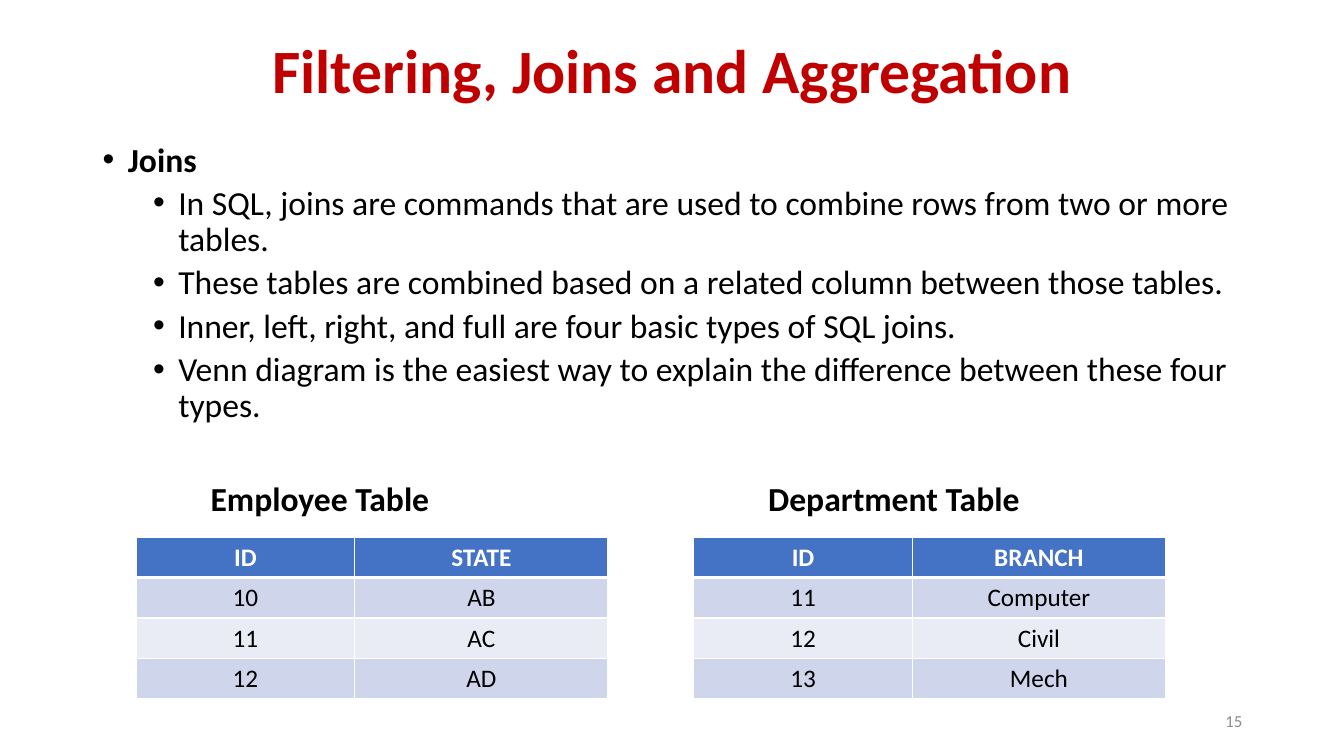
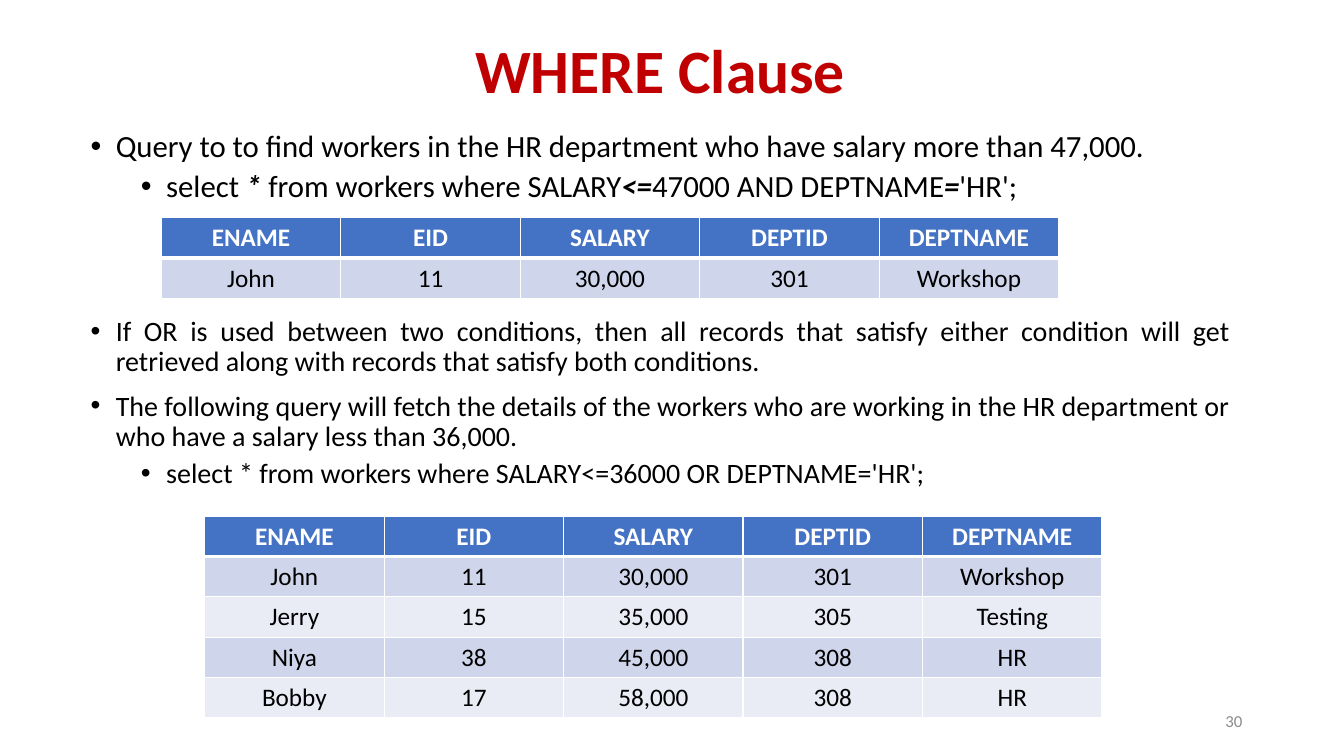
from lxml import etree
from pptx import Presentation
from pptx.dml.color import RGBColor
from pptx.enum.text import MSO_ANCHOR, PP_ALIGN
from pptx.oxml.ns import qn
from pptx.util import Inches, Pt

LEFT, MID, RIGHT, FULL = (PP_ALIGN.LEFT, PP_ALIGN.CENTER,
                          PP_ALIGN.RIGHT, PP_ALIGN.JUSTIFY)
TOP, HALF = MSO_ANCHOR.TOP, MSO_ANCHOR.MIDDLE

# Shared look
FONT = "Calibri"
RED, BLACK, WHITE, GREY = "C00000", "000000", "FFFFFF", "8C8C8C"
HEAD, BANDS = "4472C4", ("CFD5EA", "E9EBF5")
WIDE, ROW = 11.5, 0.4


def paint(code):
    return RGBColor.from_string(code)


def add_run(para, text, size, color=BLACK, style=""):
    """Style holds b for bold and i for italic."""
    run = para.add_run()
    run.text = text
    font = run.font
    font.name, font.size = FONT, Pt(size)
    font.color.rgb = paint(color)
    font.bold, font.italic = "b" in style, "i" in style


def add_box(slide, left, top, width, height, anchor=TOP):
    box = slide.shapes.add_textbox(Inches(left), Inches(top),
                                   Inches(width), Inches(height))
    frame = box.text_frame
    frame.word_wrap = True
    frame.vertical_anchor = anchor
    return frame


def add_label(slide, place, text, size, color=BLACK, style="b",
              align=LEFT, anchor=TOP):
    para = add_box(slide, *place, anchor).paragraphs[0]
    para.alignment = align
    add_run(para, text, size, color, style)
    return para


# Bulleted text: each item is (level, runs), each run is (text, style)
def set_bullet(para, level):
    props = para._p.get_or_add_pPr()
    props.set("marL", str(Inches(0.25 + 0.5 * level)))
    props.set("indent", str(Inches(-0.25)))
    etree.SubElement(props, qn("a:buFont")).set("typeface", "Arial")
    etree.SubElement(props, qn("a:buChar")).set("char", "•")


def add_list(slide, place, items, size, align=LEFT):
    frame = add_box(slide, *place)
    for num, (level, runs) in enumerate(items):
        para = frame.add_paragraph() if num else frame.paragraphs[0]
        set_bullet(para, level)
        para.level = level
        para.alignment = align
        para.line_spacing = 0.9
        if num:
            para.space_before = Pt(5 if level else 10)
        for text, style in runs:
            add_run(para, text, size, style=style)


# Tables
def set_edges(cell, row):
    props = cell._tc.get_or_add_tcPr()
    widths = {"L": 1, "R": 1, "T": 3 if row == 1 else 1,
              "B": 3 if row == 0 else 1}
    for spot, (side, width) in enumerate(widths.items()):
        line = etree.Element(qn("a:ln" + side), w=str(Pt(width)))
        fill = etree.SubElement(line, qn("a:solidFill"))
        etree.SubElement(fill, qn("a:srgbClr")).set("val", WHITE)
        props.insert(spot, line)


def add_grid(slide, left, top, widths, rows):
    grid = slide.shapes.add_table(
        len(rows), len(widths), Inches(left), Inches(top),
        Inches(sum(widths)), Inches(ROW * len(rows))).table
    for col, width in zip(grid.columns, widths):
        col.width = Inches(width)
    for r, texts in enumerate(rows):
        grid.rows[r].height = Inches(ROW)
        for c, text in enumerate(texts):
            cell = grid.cell(r, c)
            cell.fill.solid()
            cell.fill.fore_color.rgb = paint(BANDS[(r - 1) % 2] if r else HEAD)
            set_edges(cell, r)
            para = cell.text_frame.paragraphs[0]
            para.alignment = MID
            add_run(para, text, 18, BLACK if r else WHITE, "" if r else "b")


# Title and page number
def new_slide(deck, title, left, page):
    slide = deck.slides.add_slide(deck.slide_layouts[6])
    para = add_label(slide, (left, 0, WIDE, 1.45), title, 44, RED,
                     align=MID, anchor=HALF)
    para.line_spacing = 0.9
    add_label(slide, (9.42, 6.95, 3, 0.4), page, 12, GREY, "", RIGHT, HALF)
    return slide


def add_joins(deck):
    left = 0.92
    slide = new_slide(deck, "Filtering, Joins and Aggregation", left, "15")
    points = (
        "In SQL, joins are commands that are used to combine rows "
        "from two or more tables.",
        "These tables are combined based on a related column "
        "between those tables.",
        "Inner, left, right, and full are four basic types of SQL joins.",
        "Venn diagram is the easiest way to explain the difference "
        "between these four types.",
    )
    items = [(0, [("Joins", "b")])] + [(1, [(text, "")]) for text in points]
    add_list(slide, (left, 1.37, WIDE, 3.2), items, 24)

    tables = (
        (1.35, "Employee Table", 2.54,
         [("ID", "STATE"), ("10", "AB"), ("11", "AC"), ("12", "AD")]),
        (6.88, "Department Table", 3.08,
         [("ID", "BRANCH"), ("11", "Computer"), ("12", "Civil"),
          ("13", "Mech")]),
    )
    for x, name, width, rows in tables:
        add_label(slide, (x + 0.64, 4.69, width, 0.5), name, 24)
        add_grid(slide, x, 5.33, (2.17, 2.51), rows)


def add_where(deck):
    left = 0.8
    slide = new_slide(deck, "WHERE Clause", left, "30")
    both = [
        (0, [("Query to to find workers in the HR department who have "
              "salary more than 47,000.", "")]),
        (1, [("select ", ""), ("* ", "bi"),
             ("from workers where SALARY", ""), ("<=", "bi"),
             ("47000 AND DEPTNAME", ""), ("=", "bi"), ("'HR';", "")]),
    ]
    either = [
        (0, [("If OR is used between two conditions, then all records that "
              "satisfy either condition will get retrieved along with "
              "records that satisfy both conditions.", "")]),
        (0, [("The following query will fetch the details of the workers who "
              "are working in the HR department or who have a salary less "
              "than 36,000.", "")]),
        (1, [("select * from workers where SALARY<=36000 OR "
              "DEPTNAME='HR';", "")]),
    ]
    add_list(slide, (left, 1.25, WIDE, 0.85), both, 22, FULL)
    add_list(slide, (left, 3.1, WIDE, 1.9), either, 20, FULL)

    head = ("ENAME", "EID", "SALARY", "DEPTID", "DEPTNAME")
    john = ("John", "11", "30,000", "301", "Workshop")
    others = [
        ("Jerry", "15", "35,000", "305", "Testing"),
        ("Niya", "38", "45,000", "308", "HR"),
        ("Bobby", "17", "58,000", "308", "HR"),
    ]
    widths = [1.78] * len(head)
    add_grid(slide, 1.6, 2.16, widths, [head, john])
    add_grid(slide, 2.03, 5.12, widths, [head, john] + others)


def main():
    deck = Presentation()
    deck.slide_width, deck.slide_height = Inches(13.33), Inches(7.5)
    add_joins(deck)
    add_where(deck)
    deck.save("out.pptx")


if __name__ == "__main__":
    main()
